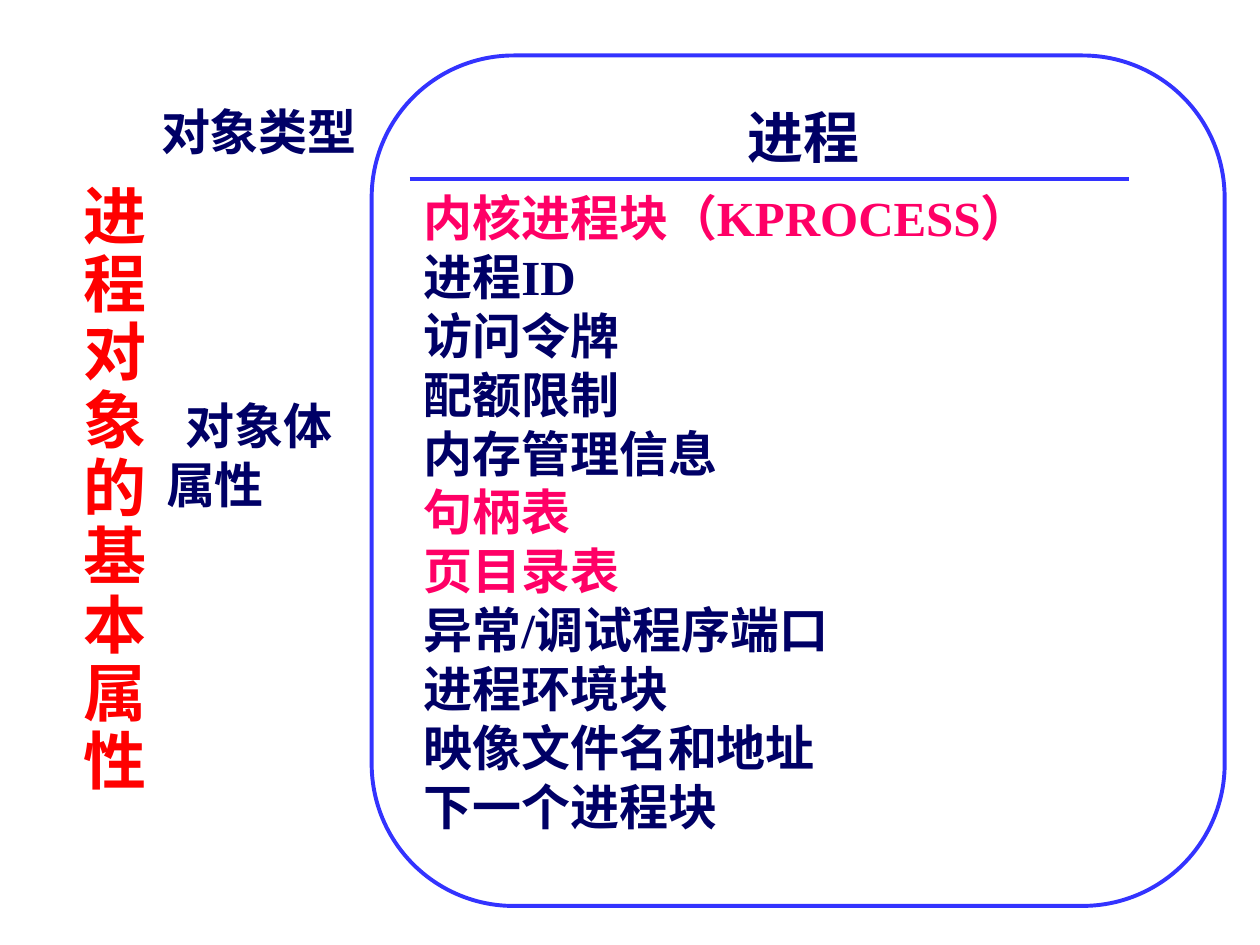
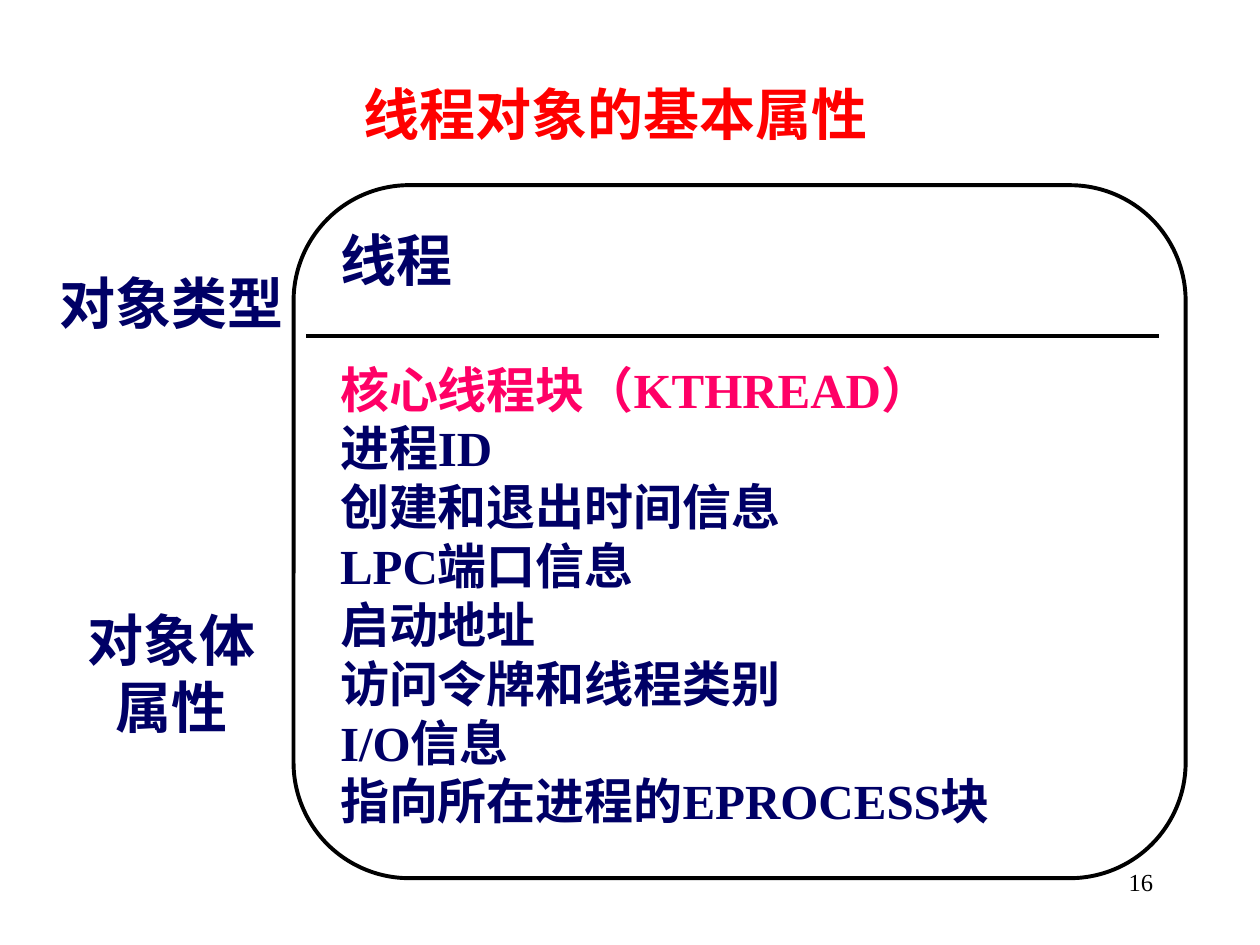
import math

import pptx
import pptx.util
import pptx.dml.color
import pptx.enum.shapes
import pptx.enum.text
import lxml.etree
import pptx.oxml.ns

Inches = pptx.util.Inches
Pt = pptx.util.Pt
RGBColor = pptx.dml.color.RGBColor
ALIGN = pptx.enum.text.PP_ALIGN

NAVY = RGBColor(0x00, 0x00, 0x66)
PINK = RGBColor(0xFF, 0x00, 0x66)
RED = RGBColor(0xFF, 0x00, 0x00)
BLUE = RGBColor(0x33, 0x33, 0xFF)
BLACK = RGBColor(0x00, 0x00, 0x00)
WHITE = RGBColor(0xFF, 0xFF, 0xFF)

FONT = "Times New Roman"
LINE_WIDTH = Pt(2.25)
CORNER = 0.167
CORNER_INSET = (1 - math.sqrt(0.5)) * CORNER  # share of the short side lost to a corner
LABEL_GAP = 4.8  # gap between the two labels, in text sizes
ITEM_SIZE = 28
HEADING_SIZE = 32

PROCESS_ITEMS = [
    "内核进程块（KPROCESS）", "进程ID", "访问令牌", "配额限制",
    "内存管理信息", "句柄表", "页目录表", "异常/调试程序端口",
    "进程环境块", "映像文件名和地址", "下一个进程块",
]
THREAD_ITEMS = [
    "核心线程块（KTHREAD）", "进程ID", "创建和退出时间信息",
    "LPC端口信息", "启动地址", "访问令牌和线程类别", "I/O信息",
    "指向所在进程的EPROCESS块",
]
KEY_ITEMS = {"内核进程块（KPROCESS）", "句柄表", "页目录表", "核心线程块（KTHREAD）"}


def place(shape, box):
    shape.left, shape.top, shape.width, shape.height = map(Inches, box)


def fill_white(shape):
    shape.fill.solid()
    shape.fill.fore_color.rgb = WHITE


def bring_to_front(s, shape):
    s.shapes._spTree.append(shape._element)


def setup_frame(tf, margins=(0.1, 0.05, 0.1, 0.05)):
    tf.word_wrap = True
    tf.auto_size = pptx.enum.text.MSO_AUTO_SIZE.NONE
    tf.vertical_anchor = pptx.enum.text.MSO_ANCHOR.TOP
    (tf.margin_left, tf.margin_top,
     tf.margin_right, tf.margin_bottom) = map(Inches, margins)


def write_lines(tf, lines):
    tf.text = "\n".join(lines)
    return tf.paragraphs


def style(p, size, color, align=ALIGN.CENTER, bold=True, before=0):
    p.alignment = align
    p.space_before = Pt(before)
    for r in p.runs:
        r.font.name = FONT
        r.font.size = Pt(size)
        r.font.bold = bold
        r.font.color.rgb = color


def remove_bullet(p):
    pPr = p._p.get_or_add_pPr()
    pPr.set("marL", "0")
    pPr.set("indent", "0")
    lxml.etree.SubElement(pPr, pptx.oxml.ns.qn("a:buNone"))


def add_title(s, box, text, size, line_spacing=1.0):
    title = s.shapes.title
    place(title, box)
    fill_white(title)
    bring_to_front(s, title)
    setup_frame(title.text_frame)
    p, = write_lines(title.text_frame, [text])
    style(p, size, RED)
    p.line_spacing = line_spacing


def add_labels(s, box, size):
    """Name the heading and the list of the panel; return the last line."""
    sp = s.shapes.add_textbox(*map(Inches, box))
    fill_white(sp)
    setup_frame(sp.text_frame)
    kind, body, attributes = write_lines(sp.text_frame, ["对象类型", "对象体", "属性"])
    style(kind, size, NAVY)
    style(body, size, NAVY, before=round(LABEL_GAP * size))
    style(attributes, size, NAVY)
    return attributes


def add_panel(s, box, color, rule, heading, items, heading_align, gap, margins):
    """Rounded outline with a heading, a rule (left, right, y in the box) and a list."""
    left, top, width, height = box
    sp = s.shapes.add_shape(
        pptx.enum.shapes.MSO_SHAPE.ROUNDED_RECTANGLE, *map(Inches, box))
    sp.adjustments[0] = CORNER
    sp.shadow.inherit = False
    fill_white(sp)
    sp.line.color.rgb = color
    sp.line.width = LINE_WIDTH

    inset = CORNER_INSET * min(width, height)
    body = s.placeholders[1]
    place(body, (left + inset, top + inset, width - 2 * inset, height - 2 * inset))
    bring_to_front(s, body)
    setup_frame(body.text_frame, margins)
    head, *rows = write_lines(body.text_frame, [heading, *items])
    style(head, HEADING_SIZE, NAVY, heading_align)
    for p in rows:
        style(p, ITEM_SIZE, PINK if p.text in KEY_ITEMS else NAVY, ALIGN.JUSTIFY)
    rows[0].space_before = Pt(gap)
    for p in (head, *rows):
        remove_bullet(p)

    start, end, y = rule
    line = s.shapes.add_connector(
        pptx.enum.shapes.MSO_CONNECTOR.STRAIGHT,
        Inches(left + start), Inches(top + y), Inches(left + end), Inches(top + y))
    line.line.color.rgb = color
    line.line.width = LINE_WIDTH
    lxml.etree.SubElement(line._element.spPr, pptx.oxml.ns.qn("a:effectLst"))


def add_page_number(s, box, number):
    sp = s.shapes.add_textbox(*map(Inches, box))
    setup_frame(sp.text_frame)
    p, = write_lines(sp.text_frame, [str(number)])
    style(p, 14, BLACK, ALIGN.RIGHT, bold=False)


def build_process_slide(s):
    attributes = add_labels(s, (1.14, 0.76, 1.83, 4.41), 28)
    attributes.alignment = ALIGN.LEFT
    attributes._p.get_or_add_pPr().set("marL", str(Inches(0.08)))
    add_panel(s, (2.95, 0.44, 6.77, 6.75), BLUE, (0.3, 6.01, 0.98),
              "进程", PROCESS_ITEMS, ALIGN.CENTER, 10.5, (0.08, 0.04, 0, 0.04))
    add_title(s, (0.5, 1.42, 0.83, 5.58), "进程对象的基本属性", 36, 0.9)


def build_thread_slide(s):
    add_labels(s, (0.33, 2.08, 2.07, 4.51), 32)
    add_panel(s, (2.33, 1.47, 7.08, 5.5), BLACK, (0.1, 6.87, 1.2),
              "线程", THREAD_ITEMS, ALIGN.JUSTIFY, 38, (0.1, 0.05, 0.1, 0.05))
    add_title(s, (1.75, 0.58, 6.27, 0.71), "线程对象的基本属性", 32)
    add_page_number(s, (7.17, 6.83, 2.08, 0.5), 16)


def main():
    prs = pptx.Presentation()
    prs.slide_width, prs.slide_height = Inches(10), Inches(7.5)
    for build in (build_process_slide, build_thread_slide):
        build(prs.slides.add_slide(prs.slide_layouts[1]))
    prs.save("out.pptx")


if __name__ == "__main__":
    main()
